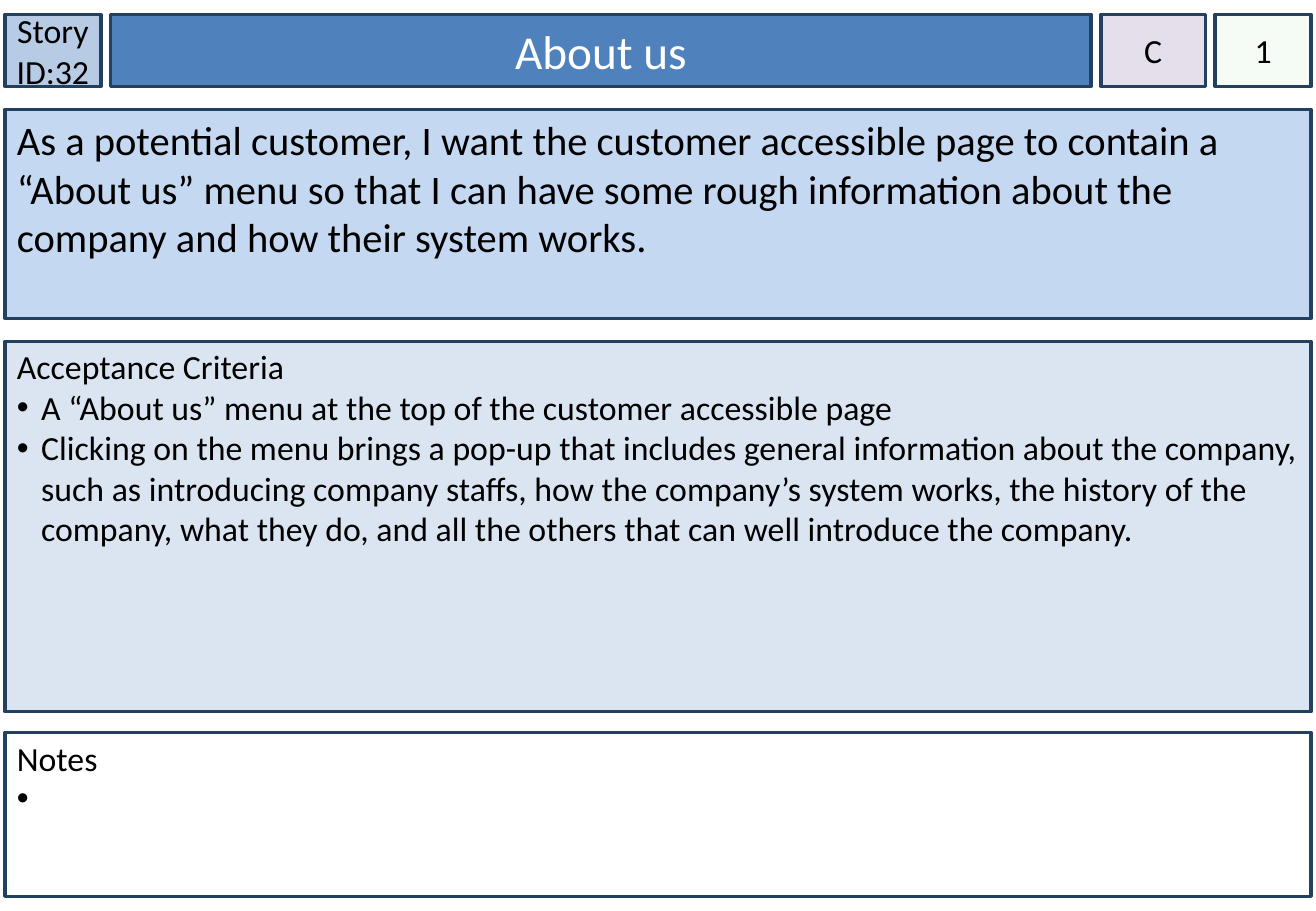
"""Build a user story card with a header row and three stacked panels."""
from lxml import etree
from pptx import Presentation
from pptx import util as u
from pptx.dml.color import RGBColor
from pptx.enum import shapes, text
from pptx.oxml.ns import qn

THEME = {
    "font": "Calibri", "ink": "000000", "edge": "244061", "line": 2,
    "id": "B7CCE4", "title": "4F81BD", "code": "E5DFEC", "rank": "CCF0CD",
    "story": "C5D8F1", "tests": "DAE5F1", "notes": "FFFFFF", "light": "FFFFFF",
    "small": 20, "mid": 24, "large": 28, "clear": {"rank": 20},
}
HEAD = [
    ("id", 0.79, "Story ID:32", "small", "ink", 0),
    ("title", 8.07, "About us", "large", "light", 0.1),
    ("code", 0.86, "C", "small", "ink", 0),
    ("rank", 0.79, "1", "small", "ink", 0),
]
PANELS = [
    ("story", 0.9, 1.72, 0.05, "mid",
     "As a potential customer, I want the customer accessible page to contain a "
     "“About us” menu so that I can have some rough information about the "
     "company and how their system works.", []),
    ("tests", 2.81, 3.05, 0.04, "small", "Acceptance Criteria", [
        "A “About us” menu at the top of the customer accessible page",
        "Clicking on the menu brings a pop-up that includes general information "
        "about the company, such as introducing company staffs, how the company’s "
        "system works, the history of the company, what they do, and all the "
        "others that can well introduce the company."]),
    ("notes", 6.03, 1.35, 0.04, "small", "Notes", [" "]),
]
LEFT, TOP, WIDE, HIGH, GAP = 0.04, 0.12, 10.75, 0.59, 0.08


def rgb(name):
    return RGBColor.from_string(THEME[name])


def add_box(slide, name, area, side, top, anchor):
    box = slide.shapes.add_shape(
        shapes.MSO_SHAPE.RECTANGLE, *[u.Inches(n) for n in area])
    box.shadow.inherit = False
    box.fill.solid()
    box.fill.fore_color.rgb = rgb(name)
    if name in THEME["clear"]:
        tint = box.fill._xPr.find(".//" + qn("a:srgbClr"))
        etree.SubElement(tint, qn("a:alpha"), val=str(THEME["clear"][name] * 1000))
    box.line.color.rgb = rgb("edge")
    box.line.width = u.Pt(THEME["line"])
    frame = box.text_frame
    frame.word_wrap = True
    frame.vertical_anchor = anchor
    frame.margin_left = frame.margin_right = u.Inches(side)
    frame.margin_top, frame.margin_bottom = u.Inches(top), u.Inches(0.05)
    return frame


def add_text(para, words, size, ink, align, mark=False):
    para.alignment = align
    if mark:
        props = para._p.get_or_add_pPr()
        props.set("marL", str(u.Inches(0.2)))
        props.set("indent", str(u.Inches(-0.2)))
        etree.SubElement(props, qn("a:buFont"), typeface="Arial")
        etree.SubElement(props, qn("a:buChar"), char="•")
    run = para.add_run()
    run.text = words
    run.font.name = THEME["font"]
    run.font.size = u.Pt(THEME[size])
    run.font.color.rgb = rgb(ink)


def main():
    deck = Presentation()
    deck.slide_width, deck.slide_height = u.Inches(10.83), u.Inches(7.5)
    slide = deck.slides.add_slide(deck.slide_layouts[6])
    left = LEFT
    for name, width, words, size, ink, side in HEAD:
        frame = add_box(slide, name, (left, TOP, width, HIGH), side, 0.05,
                        text.MSO_ANCHOR.MIDDLE)
        add_text(frame.paragraphs[0], words, size, ink, text.PP_ALIGN.CENTER)
        left += width + GAP
    for name, top, high, inset, size, lead, items in PANELS:
        frame = add_box(slide, name, (LEFT, top, WIDE, high), 0.1, inset,
                        text.MSO_ANCHOR.TOP)
        add_text(frame.paragraphs[0], lead, size, "ink", text.PP_ALIGN.LEFT)
        for item in items:
            add_text(frame.add_paragraph(), item, size, "ink",
                     text.PP_ALIGN.LEFT, True)
    deck.save("out.pptx")


if __name__ == "__main__":
    main()
